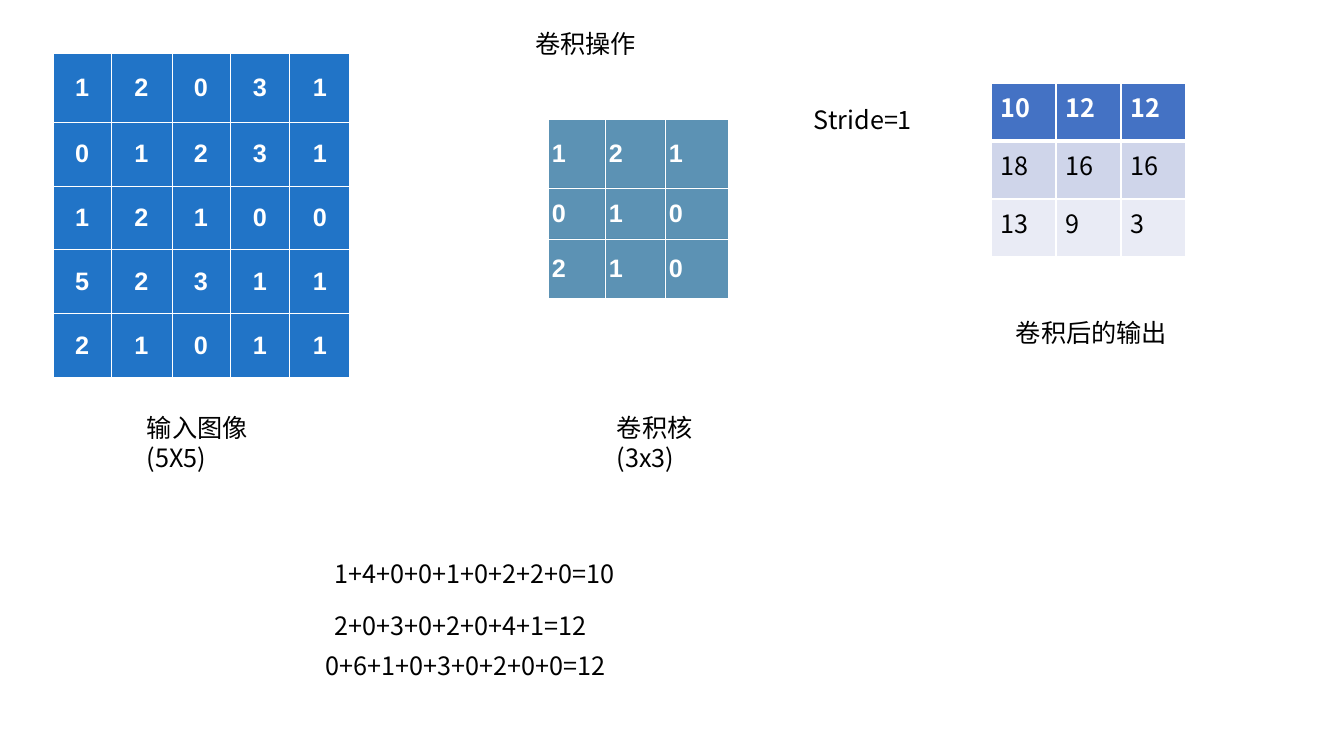
from dataclasses import dataclass

from lxml import etree
from pptx import Presentation
from pptx import util as u
from pptx.dml import color
from pptx.enum import text
from pptx.oxml import ns

EMU_PER_PIXEL = 914400 / 100.8
CJK = "Noto Sans CJK SC"
WHITE = "FFFFFF"
BLACK = "000000"


@dataclass(frozen=True)
class Band:
    fill: str
    ink: str = WHITE
    bold: bool = True
    opacity: int = 100


@dataclass(frozen=True)
class Matrix:
    left: int
    top: int
    columns: list[int]
    rows: list[int]
    values: list[list[int]]
    bands: list[Band]
    font: str
    align: text.PP_ALIGN
    anchor: text.MSO_ANCHOR
    inset: tuple[int, int]
    border: float
    header_rule: float


@dataclass(frozen=True)
class Label:
    words: str
    left: int
    top: int
    width: int
    height: int = 40


def px(pixels: int) -> u.Emu:
    return u.Emu(round(pixels * EMU_PER_PIXEL))


def paint(target, hex_code: str) -> None:
    target.rgb = color.RGBColor.from_string(hex_code)


def write(paragraph, words: str, font: str, ink: str, bold: bool = False) -> None:
    run = paragraph.add_run()
    run.text = words
    run.font.size = u.Pt(18)
    run.font.name = font
    run.font.bold = bold
    paint(run.font.color, ink)
    east_asian = etree.SubElement(run.font._element, ns.qn("a:ea"))
    east_asian.set("typeface", font)


def rule_cell(cell, widths: dict[str, float]) -> None:
    properties = cell._tc.get_or_add_tcPr()
    for side, points in widths.items():
        line = etree.SubElement(properties, ns.qn(f"a:ln{side}"), w=str(u.Pt(points)))
        fill = etree.SubElement(line, ns.qn("a:solidFill"))
        etree.SubElement(fill, ns.qn("a:srgbClr"), val=WHITE)


def fill_cell(cell, band: Band) -> None:
    cell.fill.solid()
    paint(cell.fill.fore_color, band.fill)
    if band.opacity < 100:
        tint = cell._tc.tcPr.find(f"{ns.qn('a:solidFill')}/{ns.qn('a:srgbClr')}")
        etree.SubElement(tint, ns.qn("a:alpha"), val=str(band.opacity * 1000))


def draw_matrix(slide, matrix: Matrix) -> None:
    grid = slide.shapes.add_table(
        len(matrix.rows), len(matrix.columns), px(matrix.left), px(matrix.top),
        px(sum(matrix.columns)), px(sum(matrix.rows)),
    ).table
    grid.first_row = grid.horz_banding = False
    for column, width in zip(grid.columns, matrix.columns):
        column.width = px(width)
    for index, (row, height) in enumerate(zip(grid.rows, matrix.rows)):
        row.height = px(height)
        band = matrix.bands[index % len(matrix.bands)]
        widths = dict.fromkeys("LRTB", matrix.border)
        if index < 2:
            widths["B" if index == 0 else "T"] = matrix.header_rule
        for cell, value in zip(row.cells, matrix.values[index]):
            rule_cell(cell, widths)
            fill_cell(cell, band)
            cell.margin_left = cell.margin_right = px(matrix.inset[0])
            cell.margin_top = cell.margin_bottom = px(matrix.inset[1])
            cell.vertical_anchor = matrix.anchor
            paragraph = cell.text_frame.paragraphs[0]
            paragraph.alignment = matrix.align
            write(paragraph, str(value), matrix.font, band.ink, band.bold)


def set_label(box, label: Label) -> None:
    box.left, box.top = px(label.left), px(label.top)
    box.width, box.height = px(label.width), px(label.height)
    frame = box.text_frame
    frame.word_wrap = True
    frame.auto_size = text.MSO_AUTO_SIZE.SHAPE_TO_FIT_TEXT
    frame.vertical_anchor = text.MSO_ANCHOR.TOP
    paragraph = frame.paragraphs[0]
    paragraph.alignment = text.PP_ALIGN.LEFT
    write(paragraph, label.words, CJK, BLACK)


def draw_label(slide, label: Label) -> None:
    set_label(slide.shapes.add_textbox(0, 0, 0, 0), label)


input_image = Matrix(
    53, 53, [58, 61, 58, 60, 60], [69] + [64] * 4,
    [[1, 2, 0, 3, 1], [0, 1, 2, 3, 1], [1, 2, 1, 0, 0], [5, 2, 3, 1, 1], [2, 1, 0, 1, 1]],
    [Band("2174C7")], "Arial", text.PP_ALIGN.CENTER, text.MSO_ANCHOR.MIDDLE,
    (4, 4), 0.75, 0.75,
)
kernel = Matrix(
    548, 119, [57, 60, 64], [69, 51, 59],
    [[1, 2, 1], [0, 1, 0], [2, 1, 0]],
    [Band("00568A", opacity=64)], "Arial", text.PP_ALIGN.JUSTIFY, text.MSO_ANCHOR.MIDDLE,
    (4, 4), 0.75, 0.75,
)
feature_map = Matrix(
    991, 83, [65] * 3, [58] * 3,
    [[10, 12, 12], [18, 16, 16], [13, 9, 3]],
    [Band("4472C4"), Band("CFD5EA", BLACK, False), Band("E9EBF5", BLACK, False)],
    CJK, text.PP_ALIGN.LEFT, text.MSO_ANCHOR.TOP, (10, 5), 1, 3,
)
heading = Label("卷积操作", 525, 23, 348)
labels = [
    Label("输入图像(5X5)", 137, 407, 146, 72),
    Label("卷积核(3x3)", 607, 407, 106, 72),
    Label("1+4+0+0+1+0+2+2+0=10", 325, 553, 548),
    Label("Stride=1", 804, 99, 168),
    Label("2+0+3+0+2+0+4+1=12", 325, 605, 409),
    Label("0+6+1+0+3+0+2+0+0=12", 316, 645, 356),
    Label("卷积后的输出", 1006, 312, 258),
]

presentation = Presentation()
presentation.slide_width, presentation.slide_height = px(1344), px(756)
slide = presentation.slides.add_slide(presentation.slide_layouts[5])
set_label(slide.shapes.title, heading)
for matrix in (input_image, kernel, feature_map):
    draw_matrix(slide, matrix)
for label in labels:
    draw_label(slide, label)
presentation.save("out.pptx")
